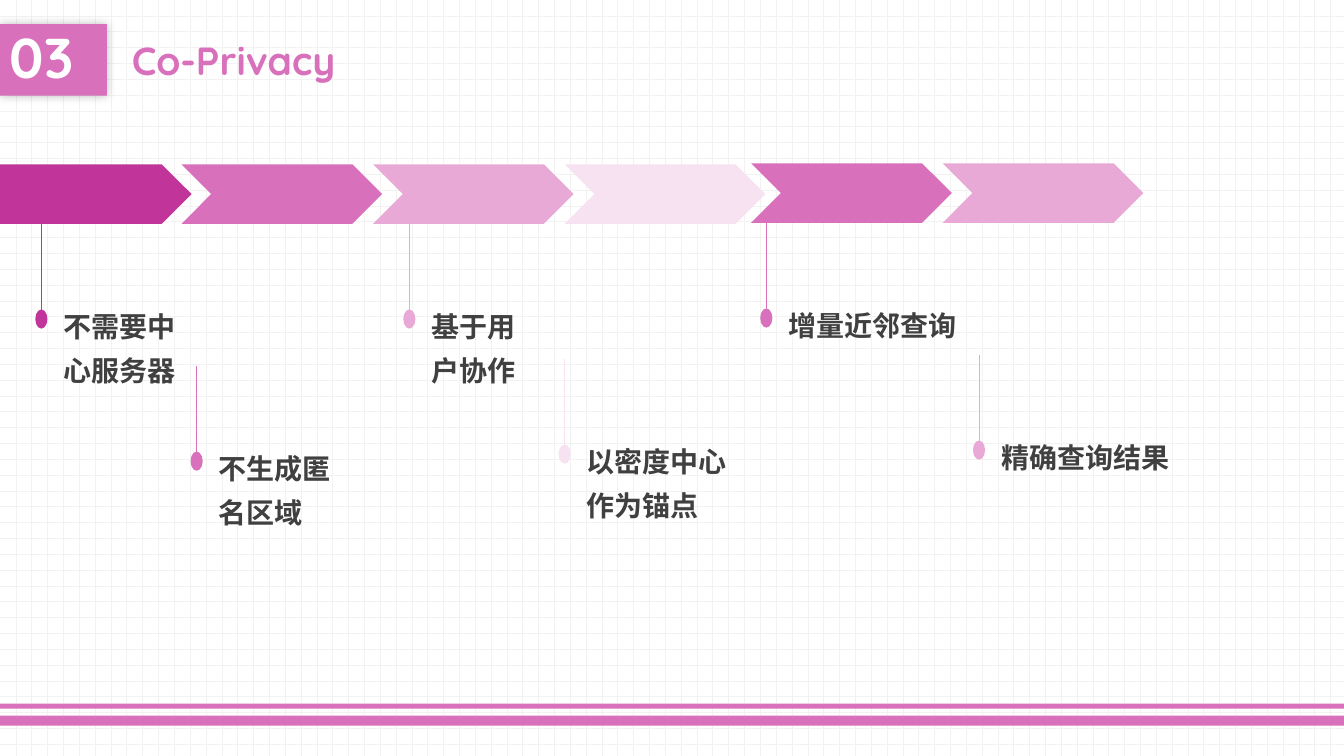
from lxml import etree
from pptx import Presentation
from pptx import util as u
from pptx.dml.color import RGBColor
from pptx.enum import dml, shapes, text
from pptx.oxml.ns import qn

COLORS = {
    "deep": "C1359A", "main": "D870BB", "soft": "E8A9D6", "pale": "F7E2F1",
    "ink": "404040", "white": "FFFFFF", "grid": "F2F2F2", "black": "000000",
}
FONT = "Quicksand"
SECTION = "03"
TITLE = "Co-Privacy"

FEATURES = [
    ("deep", 0, 1.63, 0.41, 2.22, "不需要中\v心服务器", 1.59),
    ("main", 1.8, 1.63, 1.95, 3.63, "不生成匿\v名区域", 1.4),
    ("soft", 3.7, 1.63, 4.06, 2.22, "基于用\v户协作", 1.22),
    ("pale", 5.6, 1.63, 5.6, 3.56, "以密度中心\v作为锚点", 1.77),
    ("main", 7.45, 1.62, 7.6, 2.21, "增量近邻查询", 1.98),
    ("soft", 9.35, 1.62, 9.71, 3.52, "精确查询结果", 1.98),
]
FOOTER_BARS = [(7.1, 0.1), (6.98, 0.05)]
ARROW_H, CHEVRON_W, START_W = 0.59, 1.99, 1.9
STEM_H, DOT_W, DOT_H = 0.98, 0.12, 0.19

HEADING = {"size": u.Pt(28), "bold": True, "name": FONT}
NUMBER = {**HEADING, "size": u.Pt(40)}
LABEL = {**HEADING, "size": u.Pt(20)}


def rgb(color):
    return RGBColor.from_string(COLORS[color])


def add_block(slide, preset, box, color):
    block = slide.shapes.add_shape(preset, *map(u.Inches, box))
    block.shadow.inherit = False
    block.fill.solid()
    block.fill.fore_color.rgb = rgb(color)
    block.line.fill.background()
    return block


def write(shape, words, color, font, spacing, anchor):
    frame = shape.text_frame
    frame.word_wrap = True
    frame.vertical_anchor = anchor
    frame.text = words
    line = frame.paragraphs[0]
    line.alignment = text.PP_ALIGN.LEFT
    line.line_spacing = spacing
    for run in line.runs:
        for key, value in font.items():
            setattr(run.font, key, value)
        run.font.color.rgb = rgb(color)


def add_textbox(slide, box, *style):
    write(slide.shapes.add_textbox(*map(u.Inches, box)), *style)


def add_glow(shape):
    effects = shape.element.spPr.find(qn("a:effectLst"))
    shadow = etree.SubElement(effects, qn("a:outerShdw"), blurRad=str(u.Pt(7)),
                              dist="0", algn="ctr", rotWithShape="0")
    tint = etree.SubElement(shadow, qn("a:srgbClr"), val=COLORS["black"])
    etree.SubElement(tint, qn("a:alpha"), val="25000")


def add_stem(slide, x, top, color):
    stem = slide.shapes.add_connector(
        shapes.MSO_CONNECTOR.STRAIGHT, *map(u.Inches, (x, top, x, top + STEM_H)))
    stem.line.color.rgb = rgb(color)
    stem.line.width = u.Pt(0.5)
    etree.SubElement(stem.element.spPr, qn("a:effectLst"))


def main():
    preset = shapes.MSO_SHAPE
    anchor = text.MSO_ANCHOR
    prs = Presentation()
    prs.slide_width, prs.slide_height = u.Inches(13.33), u.Inches(7.5)
    slide = prs.slides.add_slide(prs.slide_layouts[6])

    paper = slide.background.fill
    paper.patterned()
    paper.pattern = dml.MSO_PATTERN.DOTTED_GRID
    paper.fore_color.rgb = rgb("grid")
    paper.back_color.rgb = rgb("white")

    for top, height in FOOTER_BARS:
        add_block(slide, preset.RECTANGLE, (0, top, 13.33, height), "main")

    badge = add_block(slide, preset.RECTANGLE, (0, 0.24, 1.06, 0.71), "main")
    add_glow(badge)
    write(badge, SECTION, "white", NUMBER, 0.9, anchor.MIDDLE)
    add_textbox(slide, (1.21, 0.24, 7.04, 0.71), TITLE, "main", HEADING, 1.0, anchor.MIDDLE)

    for color, left, top, stem_x, stem_top, words, width in FEATURES:
        arrow, arrow_w = (preset.CHEVRON, CHEVRON_W) if left else (preset.PENTAGON, START_W)
        add_block(slide, arrow, (left, top, arrow_w, ARROW_H), color)
        add_stem(slide, stem_x, stem_top, color)
        dot = (stem_x - DOT_W / 2, stem_top + 0.85, DOT_W, DOT_H)
        add_block(slide, preset.OVAL, dot, color)
        height = 0.54 + 0.43 * words.count("\v")
        label = (stem_x + 0.12, stem_top + 0.7, width, height)
        add_textbox(slide, label, words, "ink", LABEL, 1.3, anchor.TOP)

    prs.save("out.pptx")


if __name__ == "__main__":
    main()
